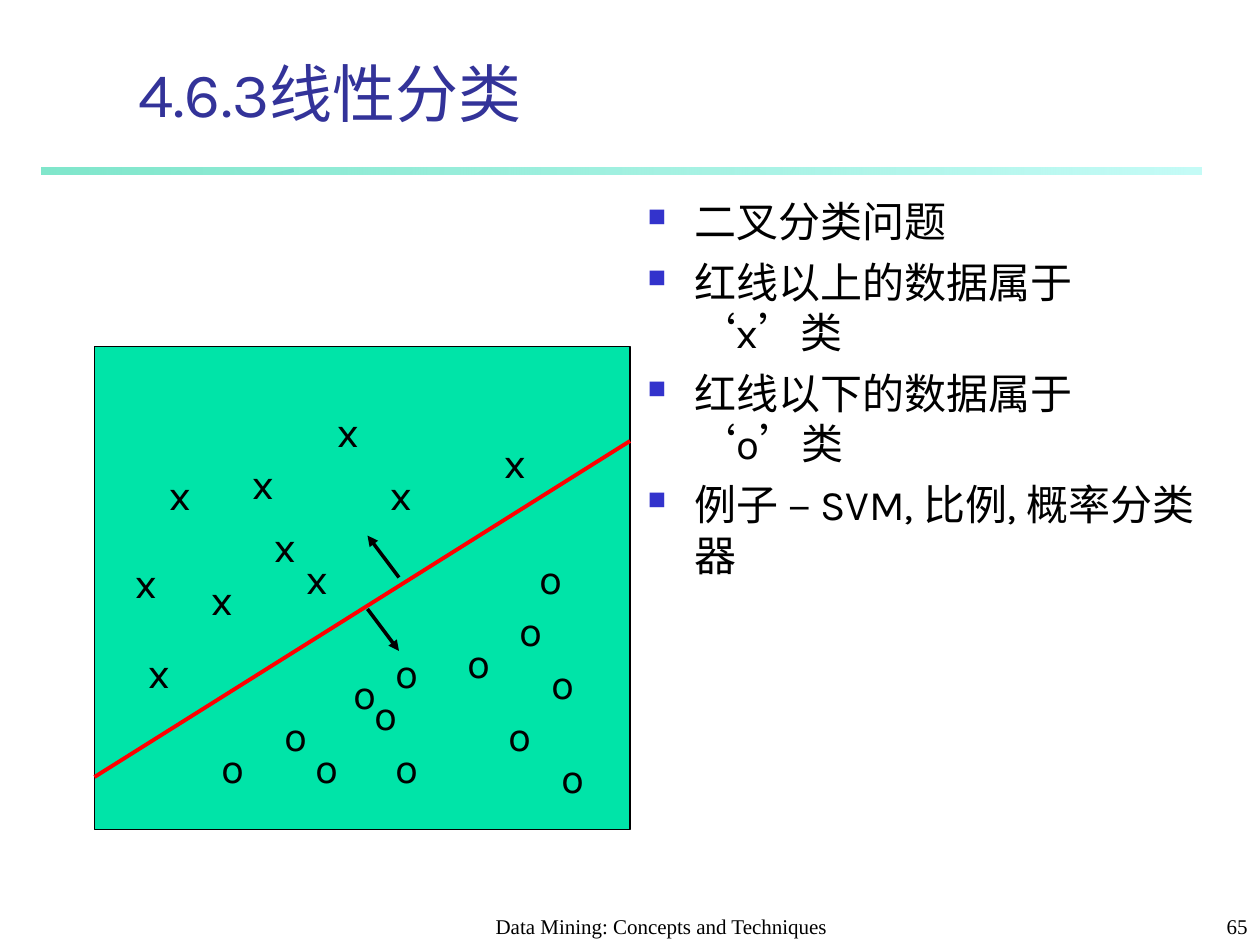
import pptx
import pptx.dml.color
import pptx.enum.shapes
import pptx.enum.text
import pptx.oxml
import pptx.oxml.ns
import pptx.util
from lxml import etree

Pt = pptx.util.Pt
RGBColor = pptx.dml.color.RGBColor
Align = pptx.enum.text.PP_ALIGN
Anchor = pptx.enum.text.MSO_ANCHOR
AutoSize = pptx.enum.text.MSO_AUTO_SIZE
Shape = pptx.enum.shapes.MSO_SHAPE
qn = pptx.oxml.ns.qn

BLACK = RGBColor(0x00, 0x00, 0x00)
RED = RGBColor(0xFF, 0x00, 0x00)
TITLE_BLUE = RGBColor(0x33, 0x33, 0x99)
BULLET_BLUE = RGBColor(0x33, 0x33, 0xCC)
PLOT_GREEN = RGBColor(0x00, 0xE4, 0xA8)
RULE_START = RGBColor(0x00, 0xCE, 0x98)
RULE_END = RGBColor(0x8F, 0xF9, 0xEF)
BODY_FONT = "Karla"
FOOTER_FONT = "Times New Roman"


def add_run(paragraph, text, size, font=BODY_FONT, color=BLACK):
    run = paragraph.add_run()
    run.text = text
    run.font.size = Pt(size)
    run.font.name = font
    run.font.color.rgb = color


def add_line(start, end, color, width, arrow=False):
    connector = slide.shapes.add_connector(
        pptx.enum.shapes.MSO_CONNECTOR.STRAIGHT,
        Pt(start[0]), Pt(start[1]), Pt(end[0]), Pt(end[1]))
    connector.line.color.rgb = color
    connector.line.width = Pt(width)
    properties = connector._element.spPr
    if arrow:
        etree.SubElement(properties.find(qn("a:ln")), qn("a:tailEnd"), type="triangle")
    etree.SubElement(properties, qn("a:effectLst"))


presentation = pptx.Presentation()
presentation.slide_width = Pt(720)
presentation.slide_height = Pt(540)
slide = presentation.slides.add_slide(presentation.slide_layouts[5])

# Gradient rule under the title
rule = slide.shapes.add_shape(Shape.RECTANGLE, Pt(24), Pt(96), Pt(662.5), Pt(4))
rule.shadow.inherit = False
rule.line.fill.background()
rule.fill.gradient()
rule.fill.gradient_angle = 0
for stop, color in zip(rule.fill.gradient_stops, (RULE_START, RULE_END)):
    stop.color.rgb = color
for element, opacity in zip(rule._element.spPr.iter(qn("a:srgbClr")), (50000, 52000)):
    etree.SubElement(element, qn("a:alpha"), val=str(opacity))

# Title
title = slide.shapes.title
title.left, title.top, title.width, title.height = Pt(72), Pt(30), Pt(613.5), Pt(48)
title.text_frame.auto_size = AutoSize.NONE
title.text_frame.vertical_anchor = Anchor.BOTTOM
title.text_frame.paragraphs[0].alignment = Align.LEFT
add_run(title.text_frame.paragraphs[0], "4.6.3线性分类", 36, color=TITLE_BLUE)

# Bulleted text
body = slide.shapes.add_textbox(Pt(363), Pt(108), Pt(327), Pt(402))
body.text_frame.word_wrap = True
points = ("二叉分类问题", "红线以上的数据属于 ‘x’类", "红线以下的数据属于 ‘o’类",
          "例子 – SVM, 比例, 概率分类器")
for index, point in enumerate(points):
    paragraph = body.text_frame.add_paragraph() if index else body.text_frame.paragraphs[0]
    paragraph.space_before = Pt(6 if index else 0)
    properties = paragraph._p.get_or_add_pPr()
    properties.set("marL", str(Pt(27)))
    properties.set("indent", str(-Pt(27)))
    bullet_color = etree.SubElement(properties, qn("a:buClr"))
    etree.SubElement(bullet_color, qn("a:srgbClr"), val=str(BULLET_BLUE))
    etree.SubElement(properties, qn("a:buSzPct"), val="60000")
    etree.SubElement(properties, qn("a:buChar"), char="■")
    add_run(paragraph, point, 24)

# Plot area and separating line
plot = slide.shapes.add_shape(Shape.RECTANGLE, Pt(54), Pt(198), Pt(306), Pt(276))
plot.shadow.inherit = False
plot.fill.solid()
plot.fill.fore_color.rgb = PLOT_GREEN
plot.line.color.rgb = BLACK
plot.line.width = Pt(0.75)
add_line((54, 444), (360, 252), RED, 2.25)

# Data points of the two classes: mark, box width, box corners
classes = (
    ("x", 26.6, ((70.5, 314.5), (281.5, 246), (137.5, 258), (168, 312), (216, 264),
                 (90, 264), (114, 324), (186, 228), (150, 294), (78, 366))),
    ("o", 28.8, ((195, 378), (207, 390), (219, 366), (155.5, 402), (219, 420),
                 (283.5, 402), (301.5, 312), (260, 360), (119.5, 420), (173.5, 420),
                 (308, 372), (290, 342), (314, 426))),
)
for mark, width, corners in classes:
    for left, top in corners:
        box = slide.shapes.add_textbox(Pt(left), Pt(top), Pt(width), Pt(36))
        box.text_frame.word_wrap = False
        box.text_frame.auto_size = AutoSize.SHAPE_TO_FIT_TEXT
        add_run(box.text_frame.paragraphs[0], mark, 24)

# Arrows to either side of the line
add_line((228, 330), (210, 306), BLACK, 2, arrow=True)
add_line((210, 348), (228, 372), BLACK, 2, arrow=True)

# Footer and page number
for left, width, alignment, text in (
        (264, 228, Align.CENTER, "Data Mining: Concepts and Techniques"),
        (570, 150, Align.RIGHT, "65")):
    footer = slide.shapes.add_textbox(Pt(left), Pt(510), Pt(width), Pt(30))
    footer.text_frame.word_wrap = True
    footer.text_frame.vertical_anchor = Anchor.BOTTOM
    footer.text_frame.paragraphs[0].alignment = alignment
    add_run(footer.text_frame.paragraphs[0], text, 12, FOOTER_FONT)

presentation.save("out.pptx")
